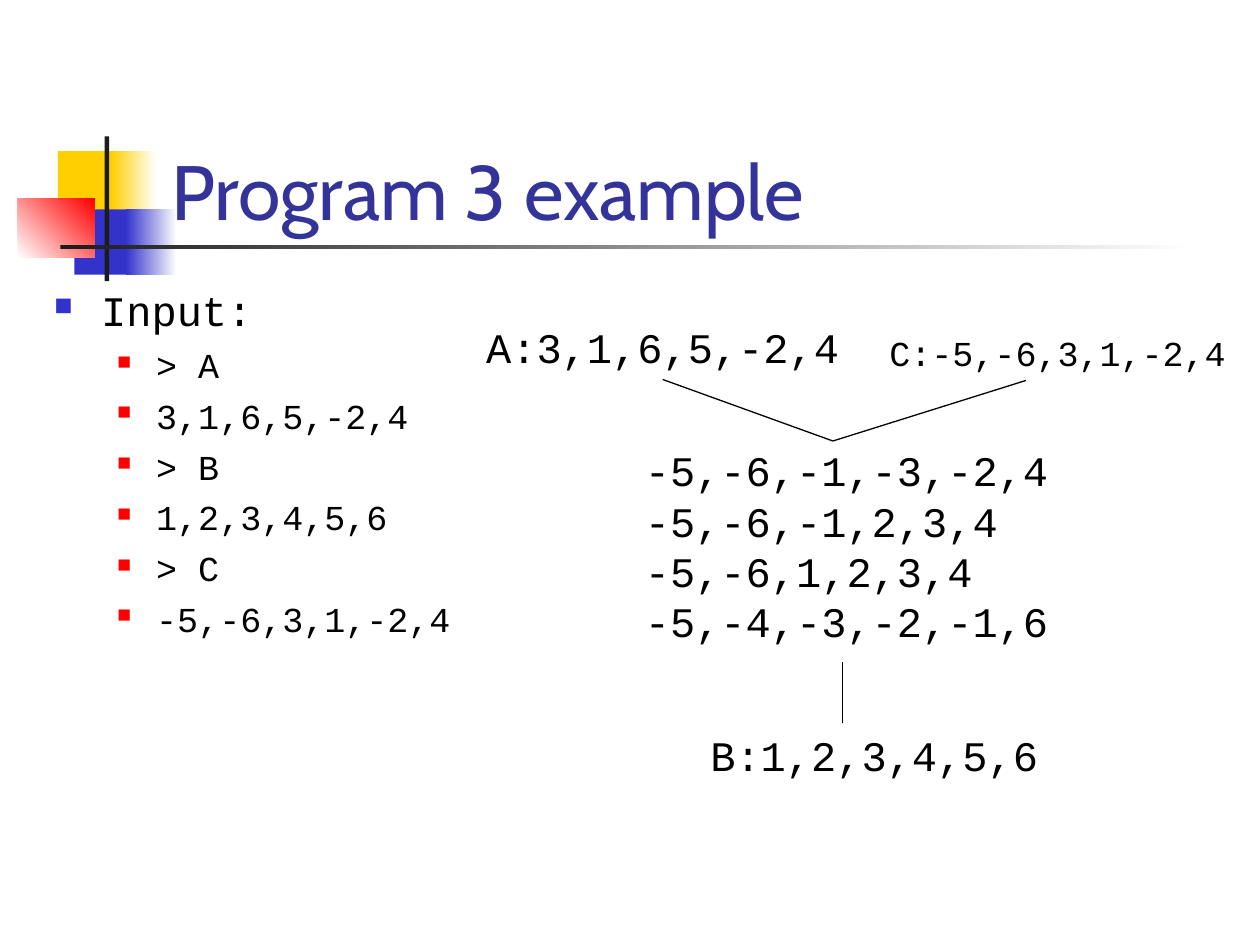
from dataclasses import dataclass

from lxml.etree import SubElement
from pptx import Presentation
from pptx.dml.color import RGBColor
from pptx.enum.shapes import MSO_CONNECTOR, MSO_SHAPE
from pptx.enum.text import MSO_ANCHOR
from pptx.oxml.ns import qn
from pptx.slide import Slide
from pptx.util import Cm, Pt

BLACK = "000000"
WHITE = "FFFFFF"
DARK = "1C1C1C"
YELLOW = "FFCF01"
BLUE = "3333CC"
RED = "FF0000"
MONOSPACE = "Courier New"


@dataclass(frozen=True)
class Box:
    left: float
    top: float
    width: float
    height: float

    def lengths(self) -> list[Cm]:
        return [Cm(value) for value in (self.left, self.top, self.width, self.height)]


@dataclass(frozen=True)
class Block:
    box: Box
    colors: tuple[str, ...]
    angle: int = 0


@dataclass(frozen=True)
class Line:
    text: str
    size: int = 24
    font: str = MONOSPACE
    color: str = BLACK
    level: int = 0
    margin: float = 0
    indent: float = 0
    space_before: int = 0
    bullet_color: str = ""
    bullet_percent: int = 0


@dataclass(frozen=True)
class TextBlock:
    box: Box
    lines: tuple[Line, ...]
    wrap: bool = True
    anchor: MSO_ANCHOR = MSO_ANCHOR.TOP


def rgb(value: str) -> RGBColor:
    return RGBColor.from_string(value)


def apply_format(target: object, values: dict[str, object]) -> None:
    for name, value in values.items():
        setattr(target, name, value)


def draw_block(slide: Slide, block: Block) -> None:
    shape = slide.shapes.add_shape(MSO_SHAPE.RECTANGLE, *block.box.lengths())
    shape.shadow.inherit = False
    shape.line.fill.background()
    if len(block.colors) == 1:
        shape.fill.solid()
        shape.fill.fore_color.rgb = rgb(block.colors[0])
        return
    shape.fill.gradient()
    shape.fill.gradient_angle = block.angle
    for stop, color, position in zip(shape.fill.gradient_stops, block.colors, (0, 1)):
        apply_format(stop, {"position": position})
        stop.color.rgb = rgb(color)


def draw_text(slide: Slide, block: TextBlock) -> None:
    frame = slide.shapes.add_textbox(*block.box.lengths()).text_frame
    apply_format(frame, {"word_wrap": block.wrap, "vertical_anchor": block.anchor})
    for index, line in enumerate(block.lines):
        paragraph = frame.add_paragraph() if index else frame.paragraphs[0]
        apply_format(paragraph, {"level": line.level, "space_before": Pt(line.space_before)})
        properties = paragraph._p.get_or_add_pPr()
        properties.set("marL", str(Cm(line.margin)))
        properties.set("indent", str(Cm(line.indent)))
        if line.bullet_color:
            color = SubElement(properties, qn("a:buClr"))
            SubElement(color, qn("a:srgbClr"), val=line.bullet_color)
            SubElement(properties, qn("a:buSzPct"), val=str(line.bullet_percent * 1000))
            SubElement(properties, qn("a:buChar"), char="■")
        run = paragraph.add_run()
        run.text = line.text
        apply_format(run.font, {"name": line.font, "size": Pt(line.size)})
        run.font.color.rgb = rgb(line.color)


def draw_line(slide: Slide, start: tuple[float, float], end: tuple[float, float]) -> None:
    points = [Cm(value) for value in (*start, *end)]
    connector = slide.shapes.add_connector(MSO_CONNECTOR.STRAIGHT, *points)
    connector.line.width = Pt(0.75)
    connector.line.color.rgb = rgb(BLACK)
    SubElement(connector._element.spPr, qn("a:effectLst"))


def heading(text: str) -> Line:
    return Line(text, margin=0.95, indent=-0.95, space_before=6,
                bullet_color=BLUE, bullet_percent=60)


def item(text: str) -> Line:
    return Line(text, size=20, level=1, margin=2.06, indent=-0.79, space_before=5,
                bullet_color=RED, bullet_percent=55)


def indented(text: str, size: int = 24) -> Line:
    return Line(text, size=size, level=1, margin=1.27)


DECORATION = (
    Block(Box(1.17, 3.05, 1.22, 1.32), (YELLOW,)),
    Block(Box(2.24, 3.05, 0.91, 1.32), (YELLOW, WHITE)),
    Block(Box(1.5, 4.22, 1.17, 1.32), (BLUE,)),
    Block(Box(2.54, 4.22, 1.02, 1.32), (BLUE, WHITE)),
    Block(Box(0.36, 4.01, 1.55, 1.18), (WHITE, RED), 45),
    Block(Box(2.11, 2.75, 0.09, 2.92), (DARK,)),
    Block(Box(1.22, 4.94, 22.86, 0.09), (DARK, WHITE)),
)

INPUTS = ("> A", "3,1,6,5,-2,4", "> B", "1,2,3,4,5,6", "> C", "-5,-6,3,1,-2,4")
RESULTS = ("-5,-6,-1,-3,-2,4", "-5,-6,-1,2,3,4", "-5,-6,1,2,3,4", "-5,-4,-3,-2,-1,6")

TEXTS = (
    TextBlock(Box(3.2, 1.7, 21.64, 3.18),
              (Line("Program 3 example", 44, "Cabin", "333399"),),
              anchor=MSO_ANCHOR.BOTTOM),
    TextBlock(Box(0.84, 5.61, 10.59, 11.43),
              (heading("Input:"), *map(item, INPUTS))),
    TextBlock(Box(11.48, 8.84, 12.7, 4.32), tuple(map(indented, RESULTS))),
    TextBlock(Box(16.41, 6.55, 8.56, 1.12), (indented("C:-5,-6,3,1,-2,4", 20),), False),
    TextBlock(Box(9.55, 6.35, 7.62, 1.27), (Line("A:3,1,6,5,-2,4"),), False),
    TextBlock(Box(12.8, 14.58, 8.38, 1.27), (indented("B:1,2,3,4,5,6"),), False),
)

JUNCTION = (16.79, 8.89)
LINKS = (
    ((13.36, 7.65), JUNCTION),
    (JUNCTION, (20.68, 7.67)),
    ((16.99, 14.58), (16.99, 13.34)),
)


def main() -> None:
    presentation = Presentation()
    apply_format(presentation, {"slide_width": Cm(25.4), "slide_height": Cm(19.05)})
    slide = presentation.slides.add_slide(presentation.slide_layouts[6])
    for block in DECORATION:
        draw_block(slide, block)
    for text_block in TEXTS:
        draw_text(slide, text_block)
    for start, end in LINKS:
        draw_line(slide, start, end)
    presentation.save("out.pptx")


if __name__ == "__main__":
    main()
